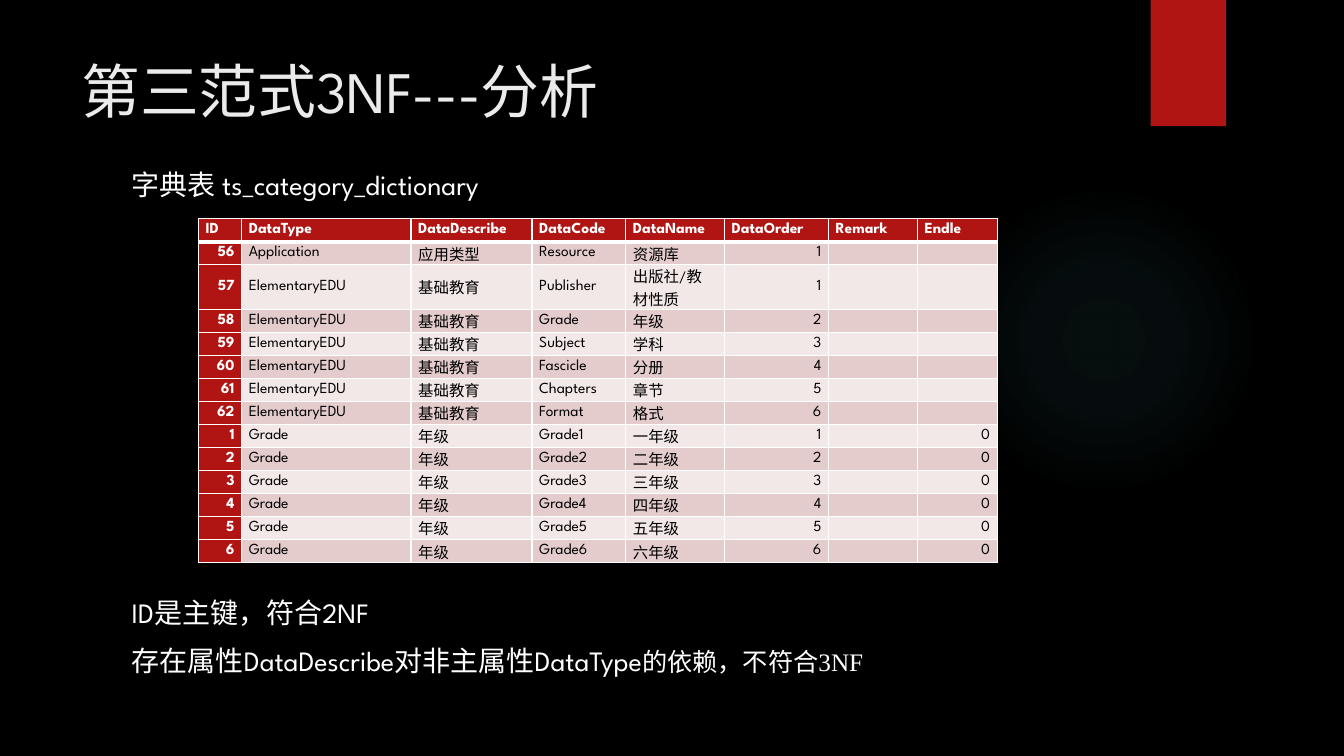
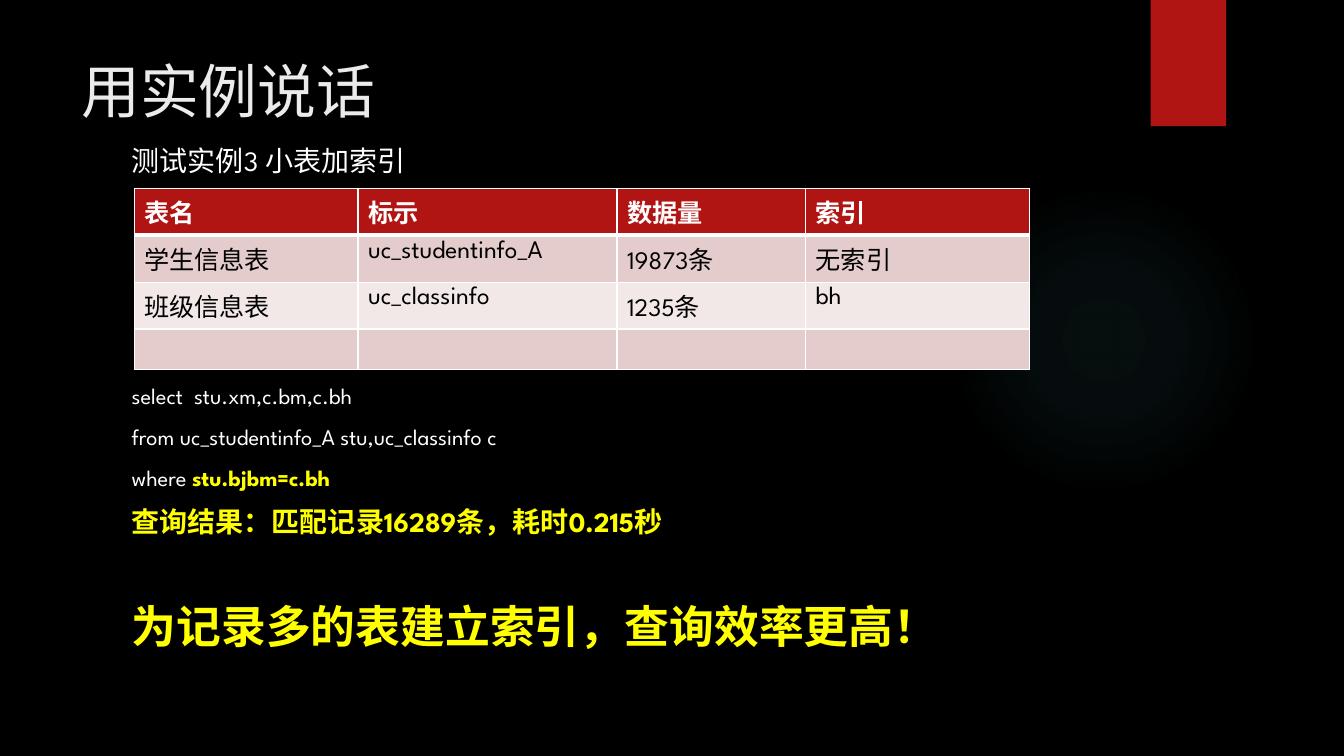
from dataclasses import dataclass

from lxml import etree
from pptx import Presentation, oxml
from pptx import util as u
from pptx.dml.color import RGBColor
from pptx.enum import shapes, text
from pptx.oxml.ns import nsdecls, qn


@dataclass(frozen=True)
class Theme:
    font: str = "League Spartan"
    serif: str = "Times New Roman"
    black: str = "000000"
    white: str = "FFFFFF"
    title: str = "EBEBEB"
    red: str = "B01513"
    glow: str = "50B9C1"
    yellow: str = "FFFF00"
    bands: tuple = ("E4CCCC", "F2E8E7")
    title_size: int = 42
    slogan_size: int = 32
    body_size: int = 20
    note_size: int = 18
    code_size: int = 16
    small_size: int = 11


T = Theme()
Cm = u.Cm
BODY_LEFT, BODY_WIDTH = 3.07, 24.84


def add_text(slide, box, paragraphs):
    """Each paragraph is (space before, runs); a run is (text, size, colour, bold, font)."""
    tf = slide.shapes.add_textbox(*[Cm(v) for v in box]).text_frame
    tf.word_wrap = True
    for i, (gap, runs) in enumerate(paragraphs):
        p = tf.paragraphs[0] if i == 0 else tf.add_paragraph()
        if gap:
            p.space_before = u.Pt(gap)
        for words, size, color, bold, font in runs:
            r = p.add_run()
            r.text = words
            r.font.size, r.font.bold, r.font.name = u.Pt(size), bold, font
            r.font.color.rgb = RGBColor.from_string(color)


def add_grid(slide, left, top, widths, heights, rows, size, compact=False):
    """Table with a red header; compact narrows the cells and marks the first column."""
    frame = slide.shapes.add_table(len(rows), len(widths), Cm(left), Cm(top),
                                   Cm(sum(widths)), Cm(sum(heights)))
    table = frame.table
    table.horz_banding = False
    for column, width in zip(table.columns, widths):
        column.width = Cm(width)
    for i, (row, height) in enumerate(zip(rows, heights)):
        table.rows[i].height = Cm(height)
        for j, words in enumerate(row):
            cell = table.cell(i, j)
            strong = i == 0 or (compact and j == 0)
            if compact:
                cell.margin_left = cell.margin_right = Cm(0.18)
                cell.margin_top = cell.margin_bottom = 0
                cell.vertical_anchor = text.MSO_ANCHOR.MIDDLE
            tcPr = cell._tc.get_or_add_tcPr()
            for side in "LRTB":
                width = 3 if (i, side) in ((0, "B"), (1, "T")) else 1
                tcPr.append(oxml.parse_xml(
                    f'<a:ln{side} {nsdecls("a")} w="{u.Pt(width)}"><a:solidFill>'
                    f'<a:srgbClr val="{T.white}"/></a:solidFill></a:ln{side}>'))
            cell.fill.solid()
            cell.fill.fore_color.rgb = RGBColor.from_string(
                T.red if strong else T.bands[(i - 1) % 2])
            p = cell.text_frame.paragraphs[0]
            if not words:
                end = etree.SubElement(p._p, qn("a:endParaRPr"))
                end.set("sz", str(size * 100))
                continue
            if words.isdigit():
                p.alignment = text.PP_ALIGN.RIGHT
            r = p.add_run()
            r.text = words
            r.font.size, r.font.bold, r.font.name = u.Pt(size), strong, T.font
            r.font.color.rgb = RGBColor.from_string(T.white if strong else T.black)


prs = Presentation()
prs.slide_width, prs.slide_height = Cm(33.87), Cm(19.05)
background = prs.slide_master.background.fill
background.solid()
background.fore_color.rgb = RGBColor.from_string(T.black)

# Shared frame: glow, red band, title
slides = []
for title in ("第三范式3NF---分析", "用实例说话"):
    s = prs.slides.add_slide(prs.slide_layouts[6])
    glow = s.shapes.add_shape(shapes.MSO_SHAPE.OVAL, Cm(23.9), Cm(4.65), Cm(7.82), Cm(7.82))
    band = s.shapes.add_shape(shapes.MSO_SHAPE.RECTANGLE, Cm(29), 0, Cm(1.9), Cm(3.18))
    for sp in (glow, band):
        sp.shadow.inherit = False
        sp.line.fill.background()
    band.fill.solid()
    band.fill.fore_color.rgb = RGBColor.from_string(T.red)
    stops = "".join(
        f'<a:gs pos="{pos * 1000}"><a:srgbClr val="{T.glow}">'
        f'<a:alpha val="{alpha * 1000}"/></a:srgbClr></a:gs>'
        for pos, alpha in ((0, 7), (36, 6), (69, 0), (100, 0)))
    glow._element.spPr.find(qn("a:prstGeom")).addnext(oxml.parse_xml(
        f'<a:gradFill {nsdecls("a")}><a:gsLst>{stops}</a:gsLst><a:path path="circle">'
        '<a:fillToRect l="50000" t="50000" r="50000" b="50000"/></a:path></a:gradFill>'))
    add_text(s, (1.8, 1.25, 26.14, 3.89),
             [(0, [(title, T.title_size, T.title, False, T.font)])])
    slides.append(s)

# Slide 1: dictionary table
s = slides[0]
body = (T.body_size, T.white, False, T.font)
add_text(s, (BODY_LEFT, 4.09, BODY_WIDTH, 1.2),
         [(0, [("字典表 ts_category_dictionary", *body)])])

rows = [
    ("ID", "DataType", "DataDescribe", "DataCode", "DataName", "DataOrder", "Remark", "Endle"),
    ("56", "Application", "应用类型", "Resource", "资源库", "1", "", ""),
]
elementary = [("Publisher", "出版社/教材性质", 1), ("Grade", "年级", 2), ("Subject", "学科", 3),
              ("Fascicle", "分册", 4), ("Chapters", "章节", 5), ("Format", "格式", 6)]
for code, name, order in elementary:
    rows.append((str(56 + order), "ElementaryEDU", "基础教育", code, name, str(order), "", ""))
for n, numeral in enumerate("一二三四五六", 1):
    rows.append((str(n), "Grade", "年级", f"Grade{n}", f"{numeral}年级", str(n), "", "0"))
# The publisher name wraps onto a second line
heights = [1.13 if row[3] == "Publisher" else 0.58 for row in rows]
add_grid(s, 5, 5.51, (1.09, 4.27, 3.05, 2.36, 2.49, 2.62, 2.24, 2.01), heights,
         rows, T.small_size, compact=True)

add_text(s, (BODY_LEFT, 14.88, BODY_WIDTH, 2.5), [
    (0, [("ID是主键，符合2NF", *body)]),
    (10, [("存在属性DataDescribe对非主属性DataType", *body),
          ("的依赖，不符合3NF", T.note_size, T.white, False, T.serif)]),
])

# Slide 2: index test
s = slides[1]
add_text(s, (BODY_LEFT, 3.48, BODY_WIDTH, 1.2),
         [(0, [("测试实例3 小表加索引", *body)])])
add_grid(s, 3.38, 4.75, (5.64, 6.53, 4.75, 5.64), (1.18, 1.18, 1.18, 1.03), [
    ("表名", "标示", "数据量", "索引"),
    ("学生信息表", "uc_studentinfo_A", "19873条", "无索引"),
    ("班级信息表", "uc_classinfo", "1235条", "bh"),
    ("", "", "", ""),
], T.note_size)

code = (T.code_size, T.white, False, T.font)
accent = (T.yellow, True, T.font)
add_text(s, (BODY_LEFT, 9.5, BODY_WIDTH, 7.5), [
    (0, [("select  stu.xm,c.bm,c.bh", *code)]),
    (10, [("from uc_studentinfo_A stu,uc_classinfo c", *code)]),
    (10, [("where ", *code), ("stu.bjbm=c.bh", T.code_size, *accent)]),
    (10, [("查询结果：匹配记录16289条，耗时0.215秒", T.body_size, *accent)]),
    (43, [("为记录多的表建立索引，查询效率更高！", T.slogan_size, *accent)]),
])

prs.save("out.pptx")
